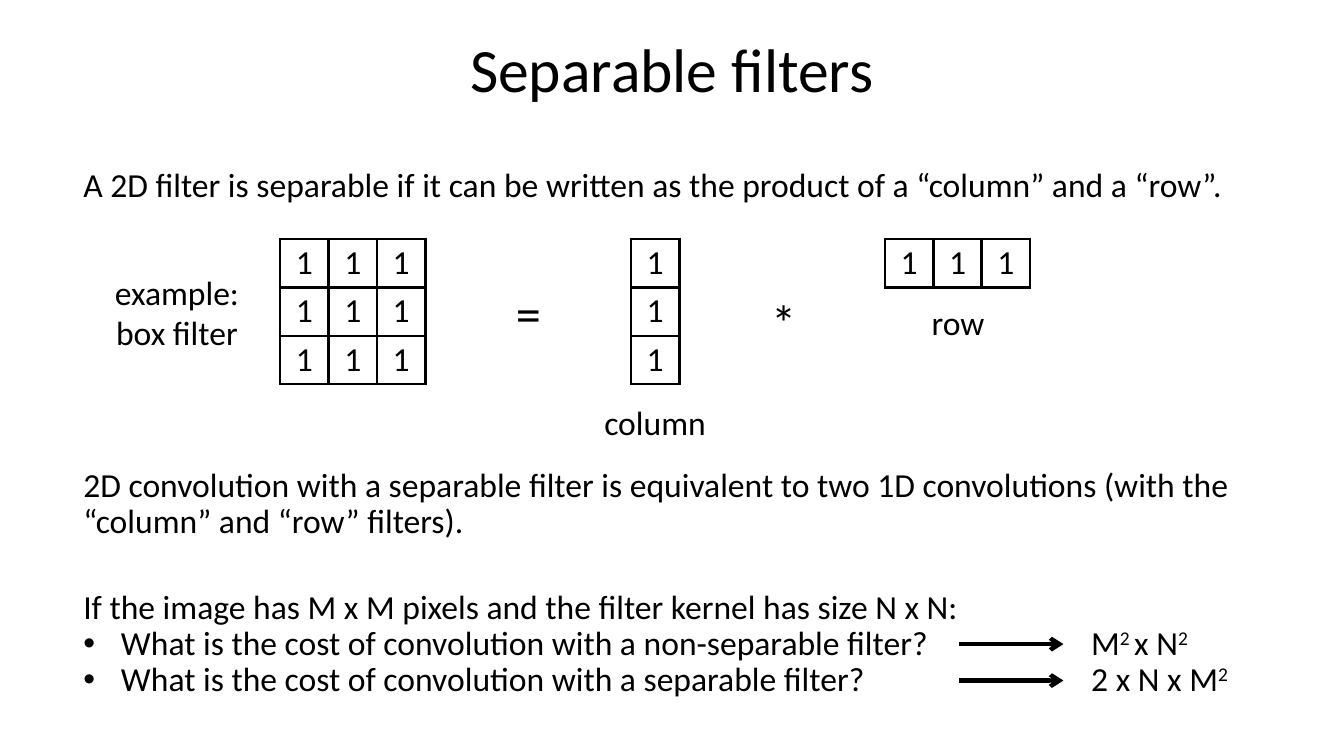
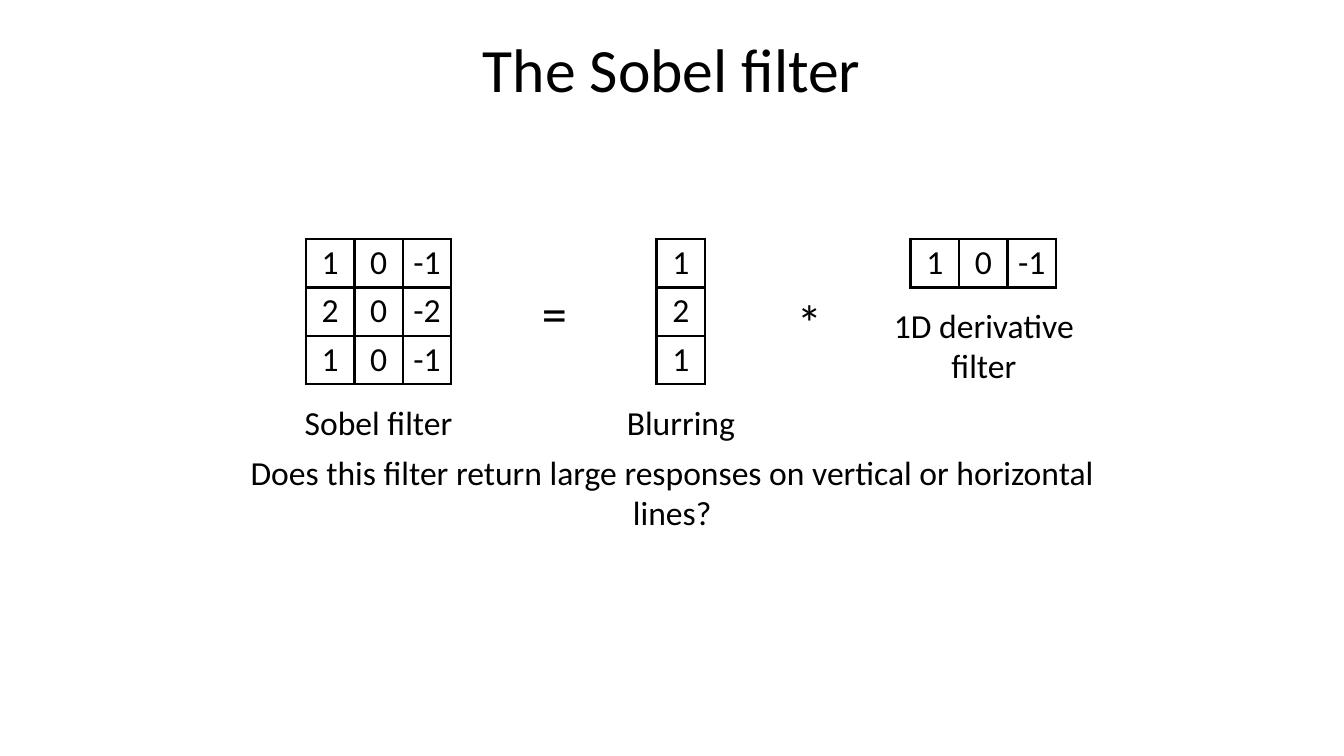
import pptx
import pptx.dml.color
import pptx.enum.shapes
import pptx.enum.text
import pptx.oxml
import pptx.oxml.ns
import pptx.util
from lxml import etree

Cm, Pt = pptx.util.Cm, pptx.util.Pt
ALIGN = pptx.enum.text.PP_ALIGN
MIDDLE = pptx.enum.text.MSO_ANCHOR.MIDDLE
qn = pptx.oxml.ns.qn

INK = "000000"
CELL = 1.22
GRID_TOP = 6.02
TITLE_FONT = {"name": "Calibri", "size": Pt(44), "bold": False}
BODY_FONT = {"name": "Calibri", "size": Pt(24), "bold": False}
SIGN_FONT = {"name": "Calibri", "size": Pt(36), "bold": False}
LABEL = {"margin": (0.08, 0.08), "align": ALIGN.CENTER, "spacing": 1.0}
PROSE = {"margin": (0.25, 0.13), "align": ALIGN.LEFT, "spacing": 0.9}


def colour(hex_value):
    return pptx.dml.color.RGBColor.from_string(hex_value)


def fill_frame(frame, paragraphs, font, margin, align, spacing):
    """Write paragraphs, each a list of spans; spans at odd places are superscript."""
    frame.word_wrap = True
    frame.vertical_anchor = MIDDLE
    frame.margin_left = frame.margin_right = Cm(margin[0])
    frame.margin_top = frame.margin_bottom = Cm(margin[1])
    for number, spans in enumerate(paragraphs):
        para = frame.add_paragraph() if number else frame.paragraphs[0]
        para.alignment = align
        para.line_spacing = spacing
        for place, text in enumerate(spans):
            span = para.add_run()
            span.text = text
            for key, value in font.items():
                setattr(span.font, key, value)
            span.font.color.rgb = colour(INK)
            if place % 2:
                span.font._element.set("baseline", "30000")


# Grids are (left, rows); labels and prose are (left, top, width, height, text).
slides = [
    {
        "title": "Separable filters",
        "shift": 0,
        "grids": [(7.06, ["1 1 1"] * 3), (15.9, ["1"] * 3), (22.3, ["1 1 1"])],
        "labels": [
            (2.16, 6.76, 4.6, 2.21, "example: box filter"),
            (14.53, 10.03, 3.96, 1.19, "column"),
            (21.49, 7.52, 5.31, 1.19, "row"),
        ],
        "prose": [
            (1.85, 3.73, 29.9, 1.96, "A 2D filter is separable if it can be written "
             "as the product of a “column” and a “row”."),
            (1.85, 11.4, 29.9, 2.64, "2D convolution with a separable filter is equivalent "
             "to two 1D convolutions (with the “column” and “row” filters)."),
        ],
    },
    {
        "title": "The Sobel filter",
        "shift": 0.65,
        "grids": [(7.06, ["1 0 -1", "2 0 -2", "1 0 -1"]), (15.9, ["1", "2", "1"]),
                  (22.3, ["1 0 -1"])],
        "labels": [
            (6.59, 10.03, 4.6, 1.19, "Sobel filter"),
            (14.53, 10.03, 3.96, 1.19, "Blurring"),
            (21.49, 7.59, 5.31, 2.21, "1D derivative filter"),
            (4.58, 11.3, 23.42, 2.21, "Does this filter return large responses on "
             "vertical or horizontal lines?"),
        ],
        "prose": [],
    },
]
signs = [(12.92, 7.01, 0.8, 1.7, "="), (19.33, 7.24, 0.84, 1.7, "*")]

deck = pptx.Presentation()
deck.slide_width, deck.slide_height = Cm(33.87), Cm(19.05)

for content in slides:
    page = deck.slides.add_slide(deck.slide_layouts[5])
    title = page.shapes.title
    title.left, title.top, title.width, title.height = 0, 0, deck.slide_width, Cm(3.68)
    fill_frame(title.text_frame, [[content["title"]]], TITLE_FONT,
               **{**PROSE, "align": ALIGN.CENTER})

    for left, rows in content["grids"]:
        values = [row.split() for row in rows]
        columns = len(values[0])
        table = page.shapes.add_table(
            len(values), columns, Cm(left + content["shift"]), Cm(GRID_TOP),
            Cm(CELL * columns), Cm(CELL * len(values))).table
        table.first_row = table.horz_banding = False
        for track in table.columns:
            track.width = Cm(CELL)
        for track in table.rows:
            track.height = Cm(CELL)
        for row, row_values in enumerate(values):
            for column, value in enumerate(row_values):
                cell = table.cell(row, column)
                fill_frame(cell.text_frame, [[value]], BODY_FONT, **LABEL)
                cell.vertical_anchor = MIDDLE
                cell.margin_left = cell.margin_right = Cm(0.09)
                cell.margin_top = cell.margin_bottom = Cm(0.09)
                properties = cell._tc.get_or_add_tcPr()
                for side in ("lnL", "lnR", "lnT", "lnB"):
                    border = etree.SubElement(properties, qn("a:" + side), w=str(Pt(2)))
                    solid = etree.SubElement(border, qn("a:solidFill"))
                    etree.SubElement(solid, qn("a:srgbClr"), val=INK)
                cell.fill.background()

    for kind, font, style in (("labels", BODY_FONT, LABEL), ("signs", SIGN_FONT, LABEL),
                              ("prose", BODY_FONT, PROSE)):
        shift = 0 if kind == "prose" else content["shift"]
        if kind == "labels":
            shift = content["shift"]
        for left, top, width, height, text in content.get(kind, signs):
            box = page.shapes.add_textbox(Cm(left + shift), Cm(top), Cm(width), Cm(height))
            fill_frame(box.text_frame, [[text]], font, **style)

# Costs of convolution on the first slide
page = deck.slides[0]
box = page.shapes.add_textbox(Cm(1.85), Cm(14.43), Cm(29.9), Cm(3.63))
fill_frame(box.text_frame, [
    ["If the image has M x M pixels and the filter kernel has size N x N:"],
    ["What is the cost of convolution with a non-separable filter?\tM", "2 ", "x N", "2"],
    ["What is the cost of convolution with a separable filter?\t2 x N x M", "2"],
], BODY_FONT, **PROSE)
for para in box.text_frame.paragraphs[1:]:
    properties = para._p.get_or_add_pPr()
    properties.set("marL", str(Cm(0.95)))
    properties.set("indent", str(Cm(-0.95)))
    etree.SubElement(properties, qn("a:buFont"), typeface="Arial")
    etree.SubElement(properties, qn("a:buChar"), char="•")
    tabs = etree.SubElement(properties, qn("a:tabLst"))
    etree.SubElement(tabs, qn("a:tab"), pos=str(Cm(25.4)), algn="l")

for height in (16.23, 17.15):
    arrow = page.shapes.add_connector(pptx.enum.shapes.MSO_CONNECTOR.STRAIGHT,
                                      Cm(24.18), Cm(height), Cm(26.8), Cm(height))
    arrow.line.color.rgb = colour(INK)
    arrow.line.width = Pt(3)
    etree.SubElement(arrow.line._get_or_add_ln(), qn("a:tailEnd"), type="arrow")
    etree.SubElement(arrow._element.spPr, qn("a:effectLst"))

deck.save("out.pptx")
